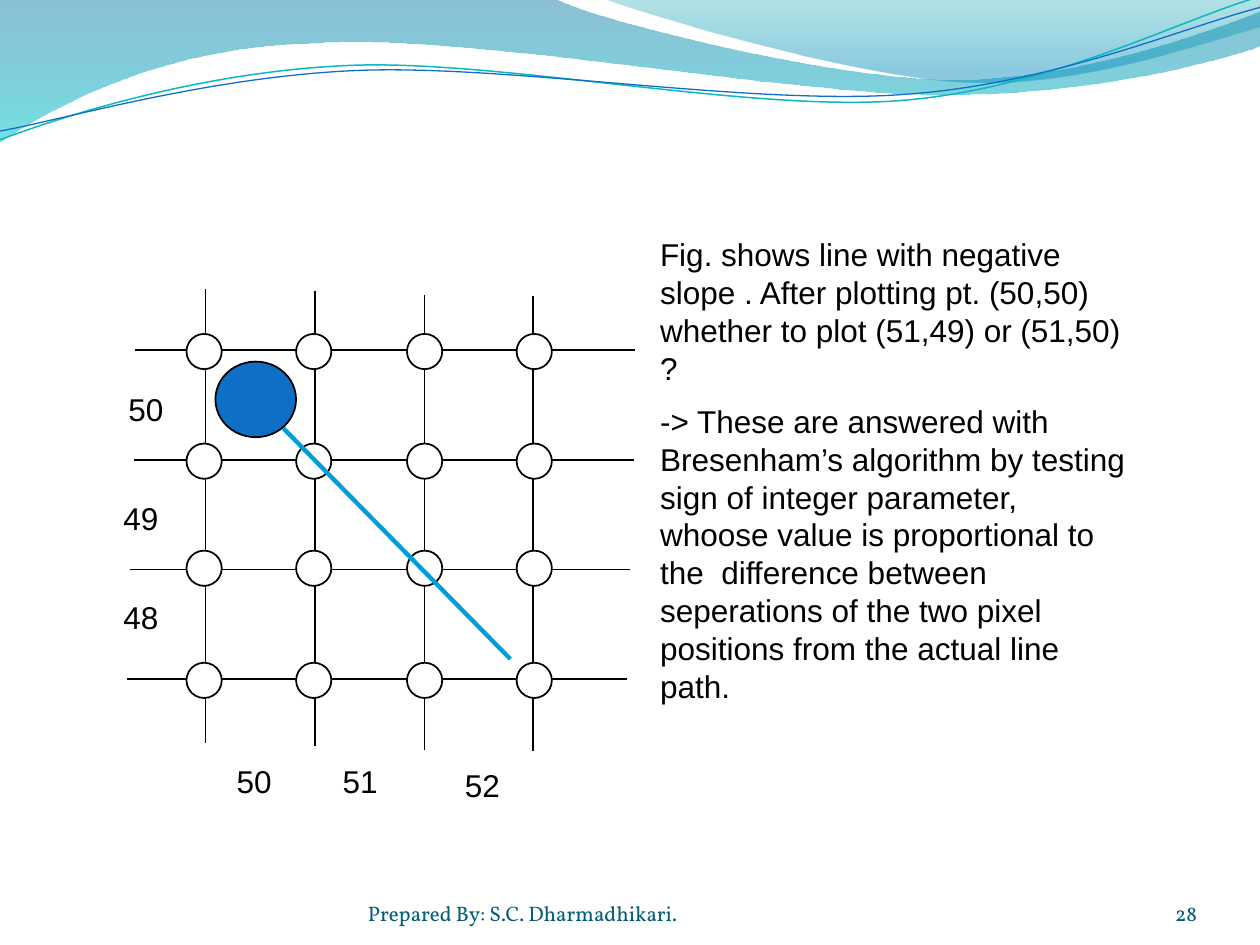
from dataclasses import dataclass
from math import cos, radians, sin

from lxml.etree import SubElement
from pptx import Presentation
from pptx.dml.color import RGBColor as Rgb
from pptx.enum.shapes import MSO_CONNECTOR as Connector, MSO_SHAPE as Shape
from pptx.enum.text import MSO_ANCHOR as Anchor, MSO_AUTO_SIZE as AutoSize, PP_ALIGN as Align
from pptx.oxml.ns import qn
from pptx.util import Inches, Pt


@dataclass(frozen=True)
class Theme:
    black: str = "000000"
    white: str = "FFFFFF"
    blue: str = "0F6FC6"
    sky: str = "009DD9"
    teal: str = "0AB8BF"
    footer: str = "045D75"
    body_font: str = "Arial"
    footer_font: str = "Vollkorn"
    body_size: float = 18
    body_leading: float = 21.6
    body_gap: float = 8.7
    footer_size: float = 12


THEME = Theme()

# Content: text with left, top, width, height in inches
EXPLANATION = [
    "Fig. shows line with negative slope . After plotting pt. (50,50) "
    "whether to plot (51,49) or (51,50) ?",
    "-> These are answered with Bresenham’s algorithm by testing sign of "
    "integer parameter, whoose value is proportional to the  difference "
    "between seperations of the two pixel positions from the actual line path.",
]
BODY_TEXTS = [
    (["50"], (1.78, 6, 0.52, 0.4)),
    (["51"], (2.62, 6, 0.52, 0.4)),
    (["52"], (3.59, 6.03, 0.49, 0.4)),
    (["48"], (0.88, 4.7, 0.52, 0.4)),
    (["49"], (0.88, 3.91, 0.52, 0.4)),
    (["50"], (0.92, 3.05, 0.52, 0.4)),
    (EXPLANATION, (5.14, 1.82, 3.91, 3.86)),
]
FOOTERS = [
    ("28", (8.67, 6.95, 0.83, 0.4), Align.RIGHT),
    ("Prepared By: S.C. Dharmadhikari.", (2.92, 6.95, 3.67, 0.4), Align.LEFT),
]

# Waves: a start, then straight steps (one point) or Bezier steps (three points)
WAVE_BANDS = [
    ((0, 0), [
        [(4.4, -0.01)],
        [(4.76, 0.17), (6.64, 0.63), (7.58, 0.63)],
        [(8.53, 0.63), (9.58, 0.26), (10, 0.09)],
        [(10.01, 0.36)],
        [(9.83, 0.44), (8.7, 0.76), (7.46, 0.75)],
        [(6.22, 0.75), (3.82, 0.28), (2.57, 0.34)],
        [(1.29, 0.36), (0.46, 0.83), (-0.01, 1.13)],
        [(0, 0)],
    ], [(0, "0074A1", 45), (1, "00C6CF", 55)]),
    ((4.79, -0.01), [
        [(5.09, 0.11), (6.82, 0.62), (7.69, 0.65)],
        [(8.56, 0.69), (9.61, 0.32), (10, 0.21)],
        [(10, 0)],
        [(4.79, -0.01)],
    ], [(0, "00A1A9", 30), (0.8, "008BBF", 45)]),
]
WAVE_LINES = [
    ((0, 1.11), [
        [(0.48, 0.93), (1.58, 0.57), (2.77, 0.52)],
        [(3.95, 0.47), (5.93, 0.89), (7.13, 0.8)],
        [(8.33, 0.71), (9.38, 0.15), (9.98, -0.02)],
    ], THEME.teal, 0.85),
    ((0, 1.04), [
        [(0.47, 0.96), (1.64, 0.61), (2.83, 0.56)],
        [(4.03, 0.51), (5.97, 0.84), (7.17, 0.75)],
        [(8.36, 0.67), (9.41, 0.21), (10, 0.06)],
    ], THEME.blue, 0.75),
]
WAVE_TILT = -2.7
WAVE_PIVOT = (5, 0.58)

# Pixel grid
COLUMNS = [1.63, 2.5, 3.37, 4.23]
COLUMN_STARTS = [2.29, 2.31, 2.34, 2.35]
COLUMN_LENGTH = 3.61
ROWS = [2.78, 3.65, 4.52, 5.39]
ROW_STARTS = [1.07, 1.06, 1.03, 1.01]
ROW_LENGTH = 3.97
NODE_LEFTS = [1.48, 2.35, 3.23, 4.1]
NODE_TOPS = [2.65, 3.52, 4.37, 5.26]
NODE_SIZE = 0.28


def turn(point, degrees):
    angle = radians(degrees)
    x, y = (value - pivot for value, pivot in zip(point, WAVE_PIVOT))
    return (WAVE_PIVOT[0] + x * cos(angle) - y * sin(angle),
            WAVE_PIVOT[1] + x * sin(angle) + y * cos(angle))


def add_outline(page, start, steps, close, tilt=0):
    def place(point):
        return tuple(map(Inches, turn(point, -tilt)))

    builder = page.shapes.build_freeform(*place(start))
    builder.add_line_segments([place(point) for step in steps for point in step],
                              close=close)
    outline = builder.convert_to_shape()
    outline.shadow.inherit = False
    outline.rotation = tilt % 360
    # Merge each run of three points into one Bezier curve
    segments = iter(list(outline.element.spPr.iter(qn("a:lnTo"))))
    for step in steps:
        first, *others = [next(segments) for _ in step]
        if others:
            first.tag = qn("a:cubicBezTo")
            for other in others:
                first.append(other[0])
                other.getparent().remove(other)
    return outline


def add_band(page, start, steps, stops):
    band = add_outline(page, start, steps, True)
    band.line.fill.background()
    band.fill.gradient()
    band.fill.gradient_angle = 270
    for stop, (position, color, _) in zip(band.fill.gradient_stops, stops):
        stop.position = position
        stop.color.rgb = Rgb.from_string(color)
    colors = list(band.element.spPr.iter(qn("a:srgbClr")))
    for node, (_, _, opacity) in zip(colors, stops):
        SubElement(node, qn("a:alpha"), val=str(opacity * 1000))


def set_line(shape, color, width):
    shape.line.color.rgb = Rgb.from_string(color)
    shape.line.width = Pt(width)


def add_line(page, start, end, color=THEME.black, width=1):
    line = page.shapes.add_connector(Connector.STRAIGHT, *map(Inches, start + end))
    set_line(line, color, width)
    SubElement(line.element.spPr, qn("a:effectLst"))


def add_ellipse(page, frame, color):
    ellipse = page.shapes.add_shape(Shape.OVAL, *map(Inches, frame))
    ellipse.shadow.inherit = False
    ellipse.fill.solid()
    ellipse.fill.fore_color.rgb = Rgb.from_string(color)
    set_line(ellipse, THEME.black, 1)


def add_text(page, paragraphs, frame, font, size, color, align=Align.LEFT):
    text = page.shapes.add_textbox(*map(Inches, frame)).text_frame
    text.word_wrap = True
    for index, words in enumerate(paragraphs):
        para = text.add_paragraph() if index else text.paragraphs[0]
        para.alignment = align
        span = para.add_run()
        span.text = words
        span.font.name, span.font.size = font, Pt(size)
        span.font.color.rgb = Rgb.from_string(color)
    return text


def main():
    deck = Presentation()
    deck.slide_width, deck.slide_height = Inches(10), Inches(7.5)
    page = deck.slides.add_slide(deck.slide_layouts[6])

    # Header waves
    for start, steps, stops in WAVE_BANDS:
        add_band(page, start, steps, stops)
    for start, steps, color, width in WAVE_LINES:
        wave = add_outline(page, start, steps, False, WAVE_TILT)
        wave.fill.background()
        set_line(wave, color, width)

    # Grid lines and nodes
    for x, top in zip(COLUMNS, COLUMN_STARTS):
        add_line(page, (x, top), (x, top + COLUMN_LENGTH))
    for y, left in zip(ROWS, ROW_STARTS):
        add_line(page, (left + ROW_LENGTH, y), (left, y))
    for top in NODE_TOPS:
        for left in NODE_LEFTS:
            add_ellipse(page, (left, top, NODE_SIZE, NODE_SIZE), THEME.white)

    # Axis labels and explanation
    for paragraphs, frame in BODY_TEXTS:
        text = add_text(page, paragraphs, frame, THEME.body_font,
                        THEME.body_size, THEME.black)
        text.auto_size = AutoSize.SHAPE_TO_FIT_TEXT
        for para in text.paragraphs:
            para.line_spacing = Pt(THEME.body_leading)
            para.space_before = Pt(THEME.body_gap)

    # Sloping line and plotted pixel
    add_line(page, (2.25, 3.4), (4.05, 5.23), THEME.sky, 2.5)
    add_ellipse(page, (1.71, 2.87, 0.64, 0.6), THEME.blue)

    # Footer
    for words, frame, align in FOOTERS:
        text = add_text(page, [words], frame, THEME.footer_font,
                        THEME.footer_size, THEME.footer, align)
        text.vertical_anchor = Anchor.BOTTOM
        text.margin_left = text.margin_right = text.margin_top = text.margin_bottom = 0

    deck.save("out.pptx")


if __name__ == "__main__":
    main()
